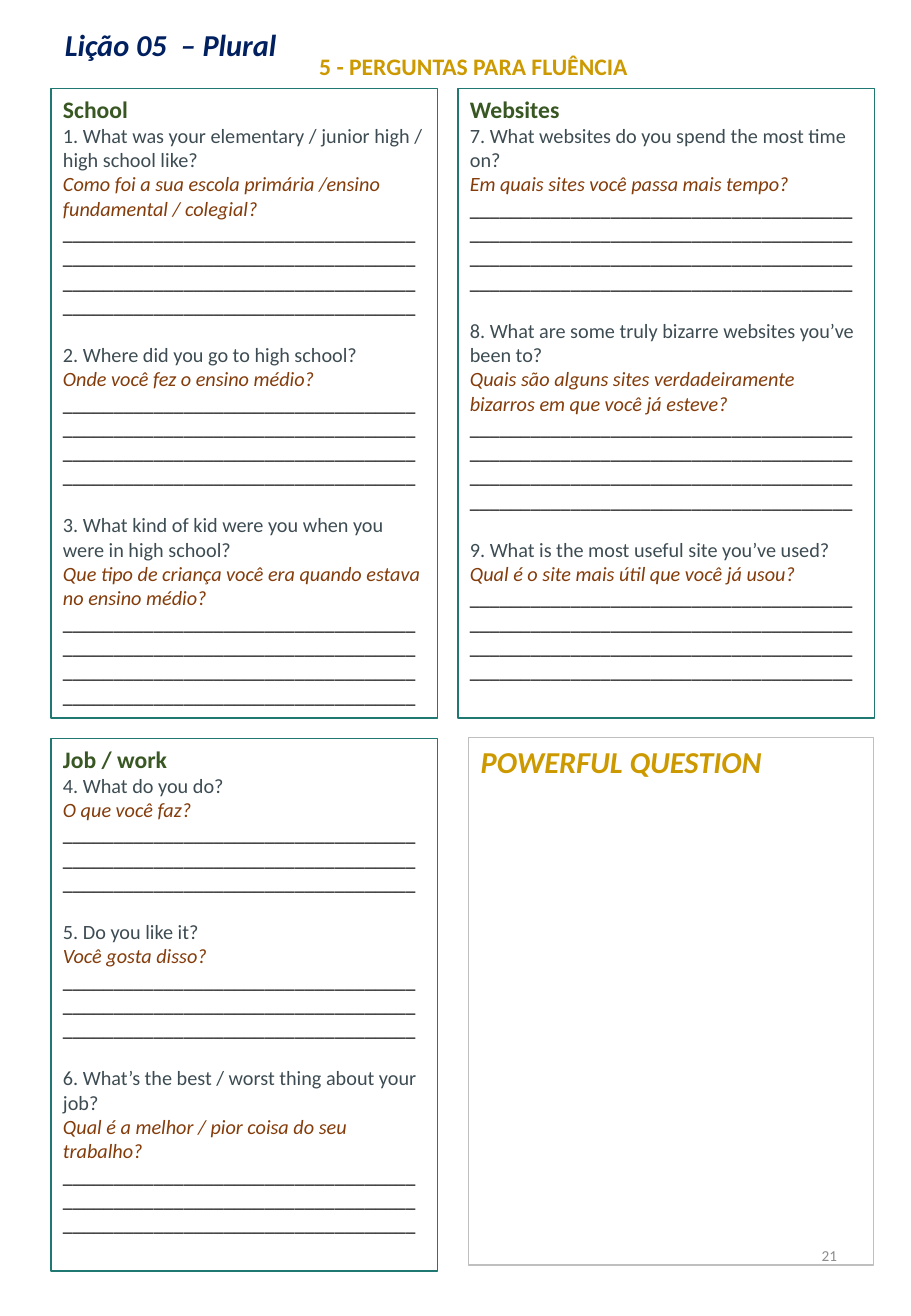
from pptx import Presentation
from pptx.dml.color import RGBColor as Rgb
from pptx.enum.shapes import MSO_SHAPE as Kind
from pptx.enum.text import MSO_ANCHOR as Anchor, MSO_AUTO_SIZE as Fit, PP_ALIGN as Align
from pptx.util import Inches, Pt

HUES = {
    "navy": "002060", "gold": "CC9900", "teal": "1F7872", "green": "385723",
    "slate": "3D4C53", "brown": "843C0B", "black": "000000",
    "gray": "8C8C8C", "pale": "BFBFBF",
}
LEFT, TOP, WIDE, TALL = 0.42, 0.73, 3.18, 5.18
LINE = 14.65

SCHOOL = [
    ("1. What was your elementary / junior high / high school like?",
     "Como foi a sua escola primária /ensino fundamental / colegial?"),
    ("2. Where did you go to high school?",
     "Onde você fez o ensino médio?"),
    ("3. What kind of kid were you when you were in high school?",
     "Que tipo de criança você era quando estava no ensino médio?"),
]
JOB = [
    ("4. What do you do?", "O que você faz?"),
    ("5. Do you like it?", "Você gosta disso?"),
    ("6. What’s the best / worst thing about your job?",
     "Qual é a melhor / pior coisa do seu trabalho?"),
]
SITES = [
    ("7. What websites do you spend the most time on?",
     "Em quais sites você passa mais tempo?"),
    ("8. What are some truly bizarre websites you’ve been to?",
     "Quais são alguns sites verdadeiramente bizarros em que você já esteve?"),
    ("9. What is the most useful site you’ve used?",
     "Qual é o site mais útil que você já usou?"),
]


def hue(name):
    return Rgb.from_string(HUES[name])


def write(para, text, size, color, bold=False, italic=False):
    run = para.add_run()
    run.text = text
    font = run.font
    font.name, font.size = "Calibri", Pt(size)
    font.bold, font.italic = bold, italic
    font.color.rgb = hue(color)


def setup(frame, wrap=True, anchor=Anchor.TOP, align=Align.LEFT):
    frame.auto_size = Fit.NONE
    frame.word_wrap = wrap
    frame.vertical_anchor = anchor
    para = frame.paragraphs[0]
    para.alignment = align
    return para


def panel(slide, box, edge):
    shape = slide.shapes.add_shape(Kind.RECTANGLE, *map(Inches, box))
    shape.shadow.inherit = False
    shape.fill.background()
    shape.line.color.rgb = hue(edge)
    shape.line.width = Pt(0.75)
    return shape.text_frame


def topic(slide, box, name, pairs, rows, chars):
    frame = panel(slide, box, "teal")
    write(setup(frame), name, 14, "green", bold=True)
    for index, (ask, gloss) in enumerate(pairs):
        parts = [(ask, "slate", False), (gloss, "brown", True),
                 ("_" * rows * chars, "black", False)]
        for text, color, italic in parts:
            para = frame.add_paragraph()
            para.alignment = Align.LEFT
            if index and text == ask:
                para.space_before = Pt(LINE)
            write(para, text, 12, color, italic=italic)


def power(slide, box):
    para = setup(panel(slide, box, "pale"))
    write(para, "POWERFUL QUESTION", 18, "gold", bold=True, italic=True)


def title(slide, box):
    shape = slide.shapes.title
    shape.left, shape.top, shape.width, shape.height = map(Inches, box)
    para = setup(shape.text_frame, wrap=False, align=Align.CENTER)
    para.line_spacing = 1.07
    write(para, "Lição 05  – Plural", 18, "navy", bold=True, italic=True)


def label(slide, box, text, size, color, bold=False, **style):
    frame = slide.shapes.add_textbox(*map(Inches, box)).text_frame
    write(setup(frame, **style), text, size, color, bold)


def build():
    deck = Presentation()
    deck.slide_width, deck.slide_height = Inches(7.5), Inches(10.83)
    slide = deck.slides.add_slide(deck.slide_layouts[5])
    title(slide, (LEFT, 0.14, 1.97, 0.43))
    label(slide, (2.53, 0.38, 2.76, 0.34), "5 - PERGUNTAS PARA FLUÊNCIA",
          14, "gold", bold=True, wrap=False)
    gap = 0.17
    low = TOP + TALL + gap
    topic(slide, (LEFT, TOP, WIDE, TALL), "School", SCHOOL, 4, 35)
    topic(slide, (LEFT, low, WIDE, 4.38), "Job / work", JOB, 3, 35)
    topic(slide, (LEFT + WIDE + gap, TOP, 3.43, TALL), "Websites", SITES, 4, 38)
    power(slide, (3.86, 6.07, 3.33, 4.34))
    label(slide, (5.3, 10.04, 1.69, 0.58), "21", 9, "gray",
          anchor=Anchor.MIDDLE, align=Align.RIGHT)
    deck.save("out.pptx")


build()
